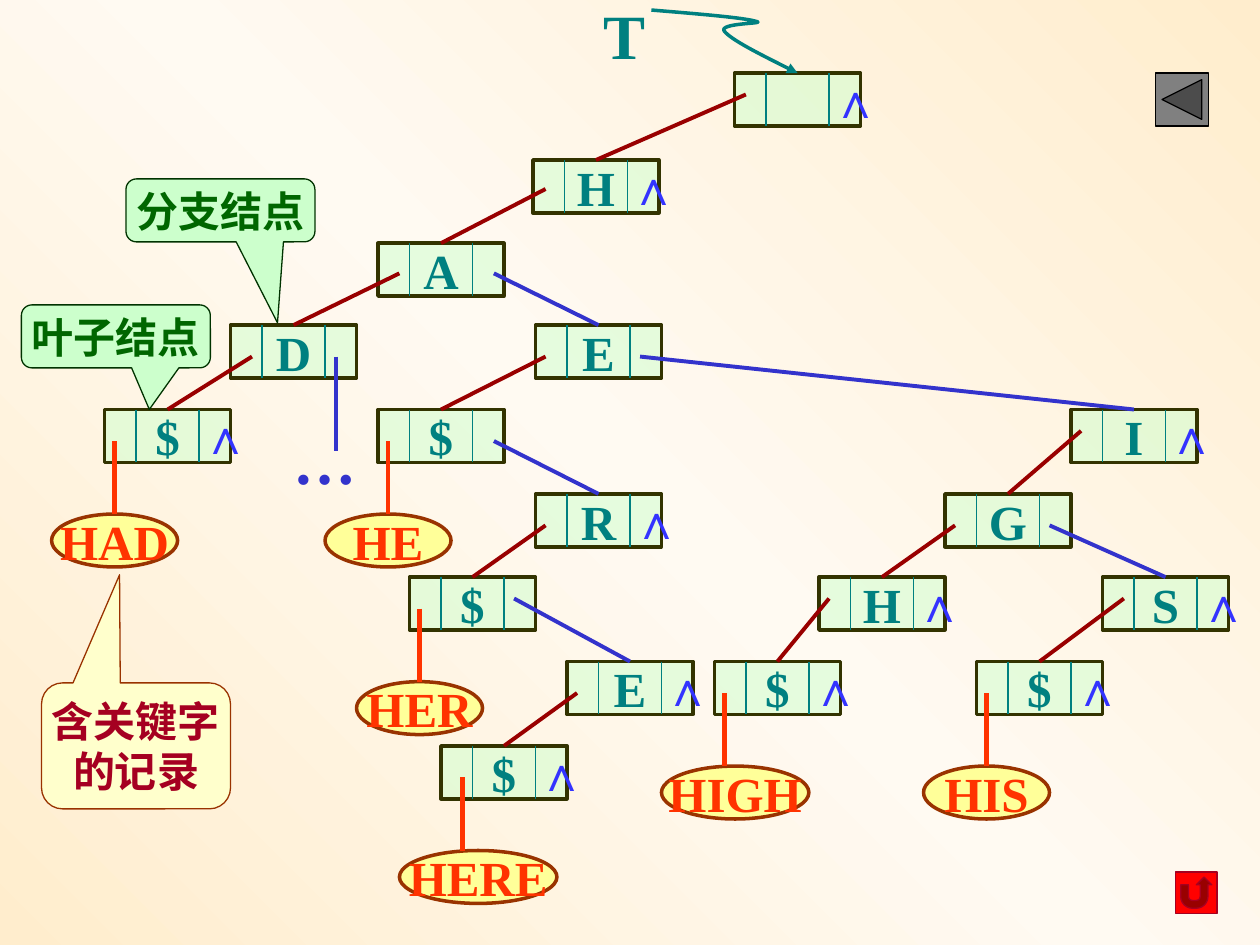
from copy import deepcopy

from pptx import Presentation
from pptx.dml.color import RGBColor
from pptx.enum.shapes import MSO_CONNECTOR, MSO_SHAPE as SHAPE
from pptx.enum.text import MSO_ANCHOR, MSO_AUTO_SIZE, PP_ALIGN
from pptx.oxml.ns import qn
from pptx.oxml.xmlchemy import OxmlElement
from pptx.util import Inches, Pt

FONT = "Times New Roman"
TEAL, BLUE, DARK_RED, ORANGE = "008080", "3333CC", "990000", "FF3300"
NODE_W, NODE_H = 1, 0.42

# name: (left, top, key, has a null pointer on the right)
NODES = {
    "root": (5.83, 0.58, "", True),
    "H": (4.23, 1.27, "H", True),
    "HA": (3, 1.93, "A", False),
    "HAD": (1.83, 2.58, "D", False),
    "HAD$": (0.83, 3.25, "$", True),
    "HE": (4.25, 2.58, "E", False),
    "HE$": (3, 3.25, "$", False),
    "HER": (4.25, 3.92, "R", True),
    "HER$": (3.25, 4.58, "$", False),
    "HERE": (4.5, 5.25, "E", True),
    "HERE$": (3.5, 5.92, "$", True),
    "HI": (8.5, 3.25, "I", True),
    "HIG": (7.5, 3.92, "G", False),
    "HIGH": (6.5, 4.58, "H", True),
    "HIGH$": (5.67, 5.25, "$", True),
    "HIS": (8.75, 4.58, "S", True),
    "HIS$": (7.75, 5.25, "$", True),
}

# parent, child, start of the link measured from the parent's corner
CHILD_LINKS = [
    ("root", "H", 0.09, 0.17), ("H", "HA", 0.1, 0.23),
    ("HA", "HAD", 0.17, 0.24), ("HAD", "HAD$", 0.17, 0.25),
    ("HE", "HE$", 0.08, 0.25), ("HER", "HER$", 0.08, 0.25),
    ("HERE", "HERE$", 0.08, 0.25), ("HI", "HIG", 0.08, 0.17),
    ("HIG", "HIGH", 0.08, 0.25), ("HIGH", "HIGH$", 0.08, 0.17),
    ("HIS", "HIS$", 0.17, 0.17),
]
SIBLING_LINKS = [
    ("HA", "HE", 0.92, 0.24), ("HE", "HI", 0.83, 0.25),
    ("HE$", "HER", 0.92, 0.25), ("HER$", "HERE", 0.83, 0.17),
    ("HIG", "HIS", 0.83, 0.25),
]

# record, oval width, oval shift to the left of its leaf, link offset
RECORDS = [
    ("HAD", 1, 0.42, 0.08), ("HE", 1, 0.42, 0.08), ("HER", 1, 0.42, 0.08),
    ("HERE", 1.25, 0.33, 0.17), ("HIGH", 1.17, 0.42, 0.08),
    ("HIS", 1, 0.42, 0.08),
]

# text, box, pointer, fill, line, text colour
CALLOUTS = [
    ("叶子结点", (0.17, 2.42, 1.5, 0.5), (0.177, 1.16), "CCFFCC", "003300", "006600"),
    ("分支结点", (1, 1.42, 1.5, 0.5), (0.302, 1.785), "CCFFCC", "003300", "006600"),
    ("含关键字\n的记录", (0.33, 5.42, 1.5, 1), (-0.087, -1.358), "FFFFCC", "993300", "A50021"),
]

# start, then three control points for each curve
ROOT_ARROW = [
    (5.17, 0.08),
    (5.53, 0.11), (5.9, 0.14), (6, 0.17),
    (6.1, 0.19), (5.69, 0.18), (5.75, 0.25),
    (5.81, 0.32), (6.07, 0.45), (6.33, 0.58),
]


def rgb(color):
    return RGBColor.from_string(color)


def set_line(s, color, width):
    s.line.color.rgb = rgb(color)
    s.line.width = Pt(width)


def write(s, text, size=28, color=TEAL, align=PP_ALIGN.CENTER, anchor=MSO_ANCHOR.MIDDLE):
    tf = s.text_frame
    tf.word_wrap = False
    tf.vertical_anchor = anchor
    for i, line in enumerate(text.split("\n")):
        p = tf.add_paragraph() if i else tf.paragraphs[0]
        p.alignment = align
        r = p.add_run()
        r.text = line
        r.font.name, r.font.size, r.font.bold = FONT, Pt(size), True
        r.font.color.rgb = rgb(color)


def add_shape(slide, kind, box, fill, line, width, alpha=None):
    s = slide.shapes.add_shape(kind, *map(Inches, box))
    s.shadow.inherit = False
    s.fill.solid()
    s.fill.fore_color.rgb = rgb(fill)
    if alpha is not None:
        clr = s._element.spPr.find(qn("a:solidFill"))[0]
        a = OxmlElement("a:alpha")
        a.set("val", str(alpha * 1000))
        clr.append(a)
    set_line(s, line, width)
    return s


def add_label(slide, text, box, **fmt):
    s = slide.shapes.add_textbox(*map(Inches, box))
    write(s, text, align=PP_ALIGN.LEFT, anchor=MSO_ANCHOR.TOP, **fmt)
    s.text_frame.auto_size = MSO_AUTO_SIZE.SHAPE_TO_FIT_TEXT


def add_line(slide, start, end, color, width):
    s = slide.shapes.add_connector(MSO_CONNECTOR.STRAIGHT, *map(Inches, (*start, *end)))
    set_line(s, color, width)
    s._element.spPr.append(OxmlElement("a:effectLst"))
    return s


def add_node(slide, x, y, key, null):
    s = add_shape(slide, SHAPE.RECTANGLE, (x, y, NODE_W, NODE_H), "CCFFCC", "333300", 2, alpha=50)
    if key:
        write(s, key)
    for dx in (0.25, 0.75):
        add_line(slide, (x + dx, y), (x + dx, y + NODE_H), TEAL, 0.75)
    if null:
        add_label(slide, "∧", (x + 0.67, y - 0.08, 0.44, 0.57), color="3333FF")
    return s


def add_link(slide, shapes, parent, child, dx, dy, color):
    x, y = NODES[parent][:2]
    cx, cy = NODES[child][:2]
    s = add_line(slide, (x + dx, y + dy), (cx + NODE_W / 2, cy), color, 2.25)
    s.end_connect(shapes[child], 0)


def add_record(slide, text, width, shift, dx):
    x, y = NODES[text + "$"][:2]
    top = y + 0.83
    s = add_shape(slide, SHAPE.OVAL, (x - shift, top, width, 0.42), "FFFF99", "993300", 2)
    write(s, text, color=ORANGE)
    add_line(slide, (x + dx, y + 0.25), (x + dx, top), ORANGE, 2.5)


def add_callout(slide, text, box, pointer, fill, line, color):
    s = add_shape(slide, SHAPE.ROUNDED_RECTANGULAR_CALLOUT, box, fill, line, 0.75)
    for i, value in enumerate((*pointer, 0.167)):
        s.adjustments[i] = value
    write(s, text, size=24, color=color)


def add_curved_arrow(slide, points, color, width):
    pts = [(Inches(x), Inches(y)) for x, y in points]
    builder = slide.shapes.build_freeform(*pts[0])
    builder.add_line_segments(pts[1:], close=False)
    s = builder.convert_to_shape()
    s.shadow.inherit = False
    s.fill.background()
    set_line(s, color, width)
    # Join each three segments into one Bezier curve
    segments = list(s._element.iter(qn("a:lnTo")))
    for i in range(0, len(segments), 3):
        curve = OxmlElement("a:cubicBezTo")
        segments[i].addprevious(curve)
        for seg in segments[i:i + 3]:
            curve.append(seg[0])
            seg.getparent().remove(seg)
    tail = OxmlElement("a:tailEnd")
    tail.set("type", "triangle")
    s.line._get_or_add_ln().append(tail)


def set_background(slide):
    fill = slide.background.fill
    fill.gradient()
    fill.gradient_angle = 45
    last = list(slide._element.iter(qn("a:gs")))[-1]
    last.addnext(deepcopy(last))
    for stop, pos, color in zip(fill.gradient_stops, (0, 0.5, 1), ("FFEDCD", "FFFAF2", "FFEDCD")):
        stop.position = pos
        stop.color.rgb = rgb(color)


def main():
    prs = Presentation()
    prs.slide_width, prs.slide_height = Inches(10), Inches(7.5)
    slide = prs.slides.add_slide(prs.slide_layouts[6])
    set_background(slide)

    # Tree nodes and the links between them
    shapes = {name: add_node(slide, *node) for name, node in NODES.items()}
    for links, color in ((CHILD_LINKS, DARK_RED), (SIBLING_LINKS, BLUE)):
        for link in links:
            add_link(slide, shapes, *link, color)

    # Branch that is left out
    add_line(slide, (2.67, 2.83), (2.67, 3.58), BLUE, 2.25)
    add_label(slide, "…", (2.23, 3.3, 0.7, 0.7), size=36, color=BLUE)

    # Records under the leaves
    for record in RECORDS:
        add_record(slide, *record)

    # Pointer to the root
    add_curved_arrow(slide, ROOT_ARROW, TEAL, 2)
    add_label(slide, "T", (4.69, -0.08, 0.56, 0.7), size=36)

    # Explanations
    for callout in CALLOUTS:
        add_callout(slide, *callout)

    # Navigation buttons
    add_shape(slide, SHAPE.ACTION_BUTTON_RETURN, (9.33, 6.92, 0.33, 0.33), "FF0000", "A50021", 0.75)
    add_shape(slide, SHAPE.ACTION_BUTTON_BACK_OR_PREVIOUS, (9.17, 0.58, 0.42, 0.42), "808080", "000000", 0.75)

    prs.save("out.pptx")


if __name__ == "__main__":
    main()
